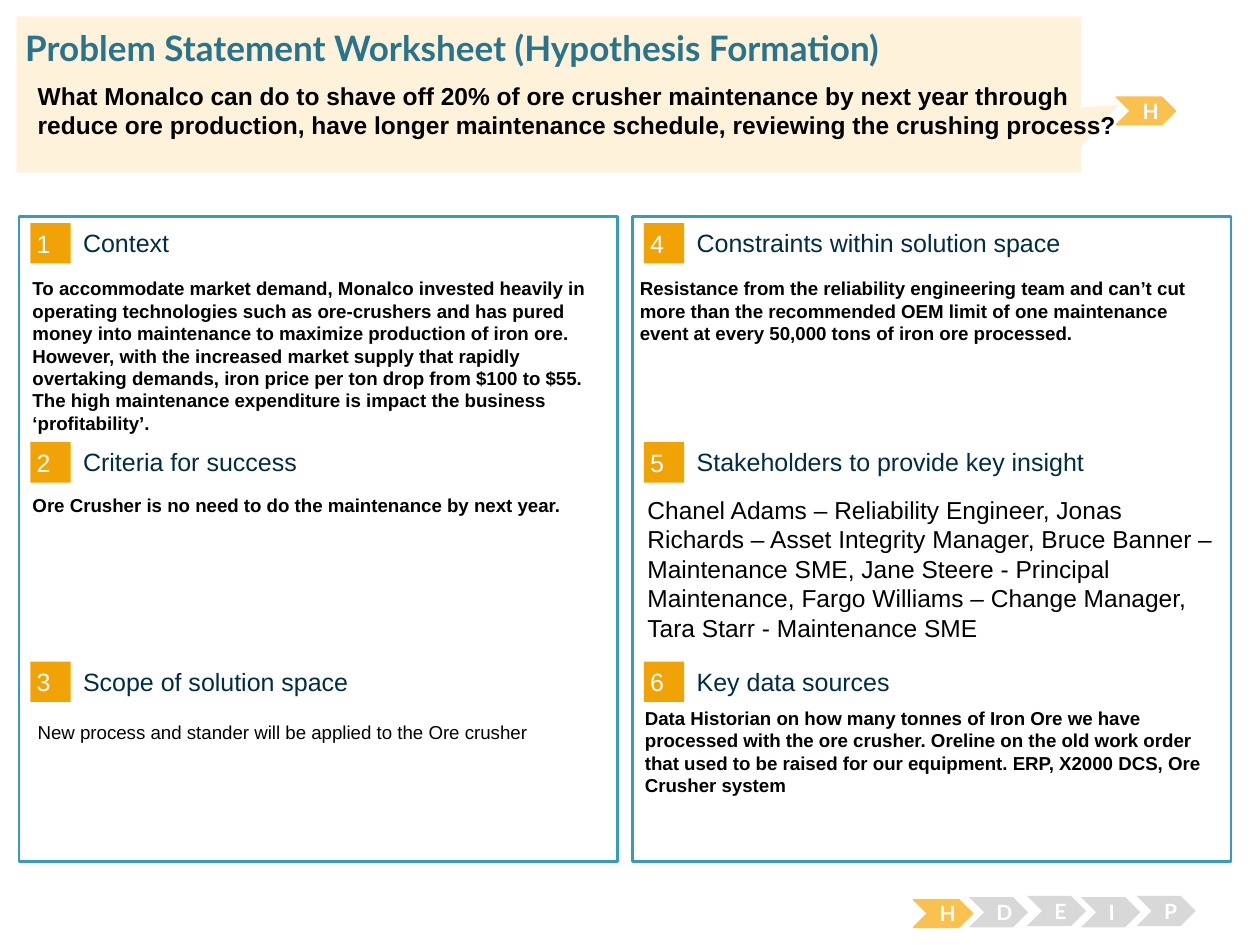
from pptx import Presentation
from pptx.util import Inches, Pt
from pptx.dml.color import RGBColor
from pptx.enum.shapes import MSO_SHAPE
from pptx.enum.text import MSO_ANCHOR, PP_ALIGN

WHITE = RGBColor(0xFF, 0xFF, 0xFF)
BLACK = RGBColor(0, 0, 0)
BLUE = RGBColor(0x37, 0x9B, 0xBD)
TEAL = RGBColor(0x29, 0x74, 0x8D)
NAVY = RGBColor(0x00, 0x2C, 0x46)
ORANGE = RGBColor(0xF1, 0xA2, 0x05)
AMBER = RGBColor(0xFB, 0xC1, 0x4E)
CREAM = RGBColor(0xFE, 0xF2, 0xDA)
GREY = RGBColor(0xD8, 0xD8, 0xD8)

PANELS = [
    (0.15, [
        ("Context", (0.16, 2.15, 4.73, 1.36), {"bold": True},
         "To accommodate market demand, Monalco invested heavily in operating "
         "technologies such as ore-crushers and has pured money into maintenance to "
         "maximize production of iron ore. However, with the increased market supply "
         "that rapidly overtaking demands, iron price per ton drop from $100 to $55. "
         "The high maintenance expenditure is impact the business ‘profitability’."),
        ("Criteria for success", (0.16, 3.87, 4.73, 1.54), {"bold": True},
         "Ore Crusher is no need to do the maintenance by next year."),
        ("Scope of solution space", (0.2, 5.67, 4.73, 0.82), {},
         "New process and stander will be applied to the Ore crusher"),
    ]),
    (5.02, [
        ("Constraints within solution space", (4.98, 2.15, 4.73, 1.18), {"bold": True},
         "Resistance from the reliability engineering team and can’t cut more than the "
         "recommended OEM limit of one maintenance event at every 50,000 tons of iron "
         "ore processed."),
        ("Stakeholders to provide key insight", (5.04, 3.88, 4.73, 1.18), {"size": 14},
         "Chanel Adams – Reliability Engineer, Jonas Richards – Asset Integrity "
         "Manager, Bruce Banner – Maintenance SME, Jane Steere - Principal Maintenance, "
         "Fargo Williams – Change Manager, Tara Starr - Maintenance SME"),
        ("Key data sources", (5.02, 5.56, 4.73, 1.18), {"bold": True},
         "Data Historian on how many tonnes of Iron Ore we have processed with the ore "
         "crusher. Oreline on the old work order that used to be raised for our "
         "equipment. ERP, X2000 DCS, Ore Crusher system"),
    ]),
]
STEPS = [("H", 7.25, 7.14), ("D", 7.69, 7.12), ("E", 8.15, 7.11),
         ("I", 8.58, 7.12), ("P", 9.02, 7.11)]
QUESTION = ("What Monalco can do to shave off 20% of ore crusher maintenance by next year through\n"
            "reduce ore production, have longer maintenance schedule, reviewing the crushing process?")


def write(shape, text, size=10.7, font="Arial", color=BLACK, bold=False,
          align=PP_ALIGN.LEFT, anchor=MSO_ANCHOR.TOP, pad=(0.1, 0.05)):
    """Fill a shape with text, one paragraph per line."""
    frame = shape.text_frame
    frame.text = text
    frame.word_wrap = True
    frame.vertical_anchor = anchor
    frame.margin_left = frame.margin_right = Inches(pad[0])
    frame.margin_top = frame.margin_bottom = Inches(pad[1])
    for line in frame.paragraphs:
        line.alignment = align
        for run in line.runs:
            run.font.size = Pt(size)
            run.font.name = font
            run.font.bold = bold
            run.font.color.rgb = color


def place(box):
    """Turn a box in inches into lengths."""
    return [Inches(side) for side in box]


def label(slide, box, text, **style):
    """Add a text box."""
    write(slide.shapes.add_textbox(*place(box)), text, **style)


def draw(slide, kind, box, fill, line=None, width=0.75):
    """Add a flat preset shape."""
    shape = slide.shapes.add_shape(kind, *place(box))
    shape.shadow.inherit = False
    shape.fill.solid()
    shape.fill.fore_color.rgb = fill
    if line is None:
        shape.line.fill.background()
    else:
        shape.line.color.rgb = line
        shape.line.width = Pt(width)
    return shape


def add_step(slide, box, letter, active):
    """Add one chevron of the process trail."""
    fill = AMBER if active else GREY
    shape = draw(slide, MSO_SHAPE.CHEVRON, box, fill, AMBER if active else None)
    write(shape, letter, size=12, font="Lato", color=WHITE, bold=True,
          align=PP_ALIGN.CENTER, anchor=MSO_ANCHOR.MIDDLE)


def add_trail(slide):
    """Add the row of chevrons at the foot."""
    for letter, left, top in STEPS:
        active = letter == "H"
        add_step(slide, (left, top, 0.47, 0.22 if active else 0.24), letter, active)


def add_panel(slide, box, items, first):
    """Add a framed column of numbered sections."""
    left, top = box[:2]
    draw(slide, MSO_SHAPE.RECTANGLE, box, WHITE, BLUE, 1.5)
    for row, (head, area, style, text) in enumerate(items):
        y = top + 0.05 + row * 1.74
        badge = draw(slide, MSO_SHAPE.RECTANGLE, (left + 0.09, y, 0.32, 0.32), ORANGE)
        write(badge, str(first + row), size=14.3, color=WHITE,
              anchor=MSO_ANCHOR.MIDDLE, pad=(0.05, 0.05))
        label(slide, (left + 0.51, y + 0.03, 3.93, 0.25), head, size=14.3, color=NAVY,
              anchor=MSO_ANCHOR.MIDDLE, pad=(0, 0))
        label(slide, area, text, **style)


def add_header(slide, box):
    """Add the callout with the title and the question."""
    left, top = box[:2]
    add_step(slide, (8.86, 0.77, 0.47, 0.22), "H", True)
    callout = draw(slide, MSO_SHAPE.RECTANGULAR_CALLOUT, box, CREAM)
    callout.adjustments[0] = 0.535
    callout.adjustments[1] = 0.066
    title = slide.shapes.title
    title.left, title.top, title.width, title.height = place((left + 0.07, top + 0.08, 9.62, 0.34))
    write(title, "Problem Statement Worksheet (Hypothesis Formation)", size=20,
          font="Lato", color=TEAL, bold=True, pad=(0, 0))
    callout.element.addnext(title.element)
    label(slide, (left + 0.07, top + 0.46, 9.39, 0.54), QUESTION, size=14, bold=True)


def main():
    """Build and save the worksheet slide."""
    deck = Presentation()
    deck.slide_width, deck.slide_height = Inches(10), Inches(7.5)
    slide = deck.slides.add_slide(deck.slide_layouts[5])
    for col, (left, items) in enumerate(PANELS):
        add_panel(slide, (left, 1.72, 4.75, 5.12), items, 1 + col * 3)
    add_trail(slide)
    add_header(slide, (0.13, 0.13, 8.45, 1.24))
    deck.save("out.pptx")


if __name__ == "__main__":
    main()
